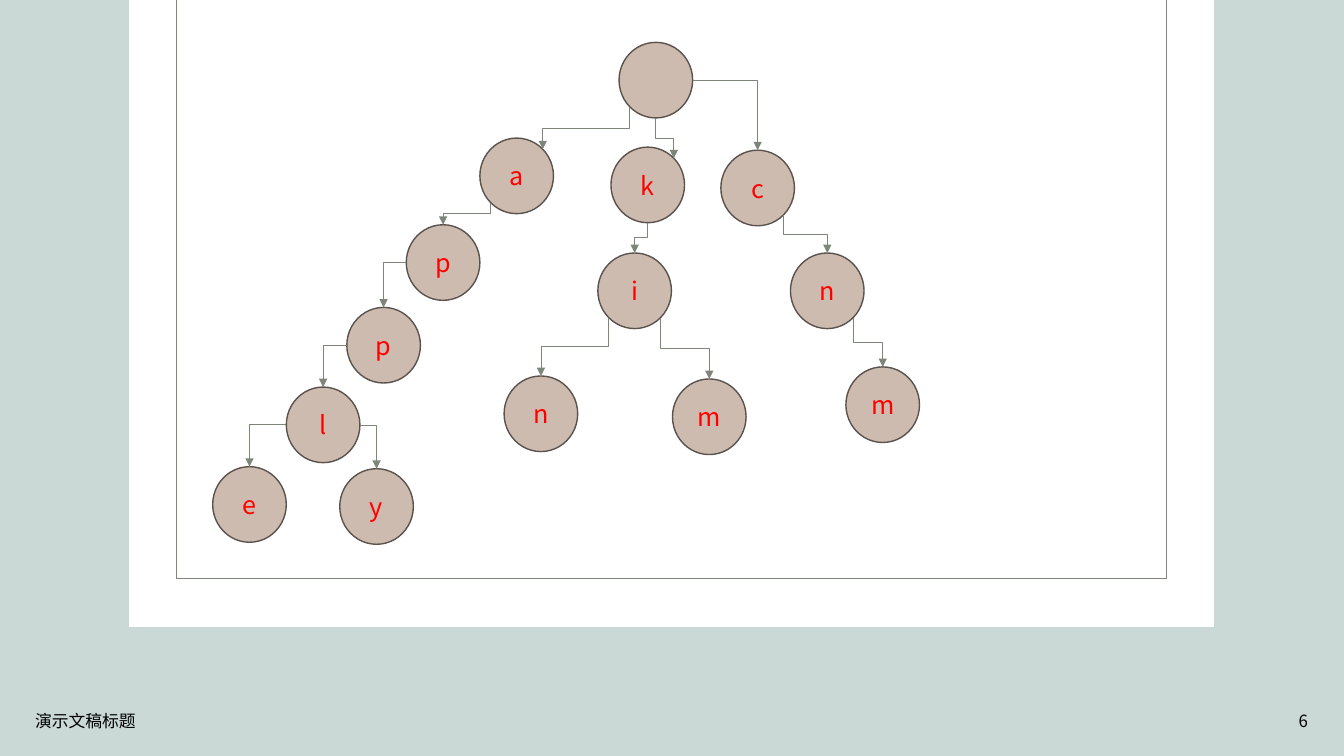
"""Builds a slide that shows a prefix tree of the words inside a framed page."""
from dataclasses import dataclass
from typing import Optional

from lxml.etree import SubElement
from pptx import Presentation
from pptx.dml.color import RGBColor
from pptx.enum.shapes import MSO_CONNECTOR as Connector, MSO_SHAPE as Preset
from pptx.enum.text import MSO_ANCHOR as Anchor, PP_ALIGN as Align
from pptx.oxml.ns import qn
from pptx.shapes.autoshape import Shape
from pptx.slide import Slide
from pptx.util import Inches, Pt


@dataclass(frozen=True)
class Theme:
    font: str = "Noto Sans CJK SC"
    background: str = "CAD8D6"
    paper: str = "FFFFFF"
    rule: str = "7E8679"
    node_fill: str = "CEBBAF"
    node_line: str = "5A524D"
    letter: str = "FF0000"
    footer: str = "000000"
    letter_size: float = 18
    footer_size: float = 12
    outline: float = 1
    link_width: float = 0.5


@dataclass(frozen=True)
class Node:
    key: str
    letter: str
    left: float
    top: float


@dataclass(frozen=True)
class Link:
    parent: str
    child: str
    leaves: str
    enters: str = "top"


THEME = Theme()
NODE_WIDTH, NODE_HEIGHT = 0.73, 0.75
DIAGONAL = 0.3536
SITES = {
    "top": (0, -0.5),
    "bottom": (0, 0.5),
    "left": (-0.5, 0),
    "right": (0.5, 0),
    "bottom left": (-DIAGONAL, DIAGONAL),
    "bottom right": (DIAGONAL, DIAGONAL),
    "top right": (DIAGONAL, -DIAGONAL),
}

NODES = [
    Node("root", "", 6.14, 0.42),
    Node("a", "a", 4.76, 1.37),
    Node("ap", "p", 4.03, 2.23),
    Node("app", "p", 3.44, 3.05),
    Node("appl", "l", 2.84, 3.84),
    Node("apple", "e", 2.11, 4.63),
    Node("apply", "y", 3.37, 4.65),
    Node("k", "k", 6.06, 1.46),
    Node("ki", "i", 5.93, 2.51),
    Node("kin", "n", 5, 3.73),
    Node("kim", "m", 6.67, 3.76),
    Node("c", "c", 7.15, 1.49),
    Node("cn", "n", 7.84, 2.51),
    Node("cnm", "m", 8.39, 3.64),
]

LINKS = [
    Link("root", "a", "bottom left", "top right"),
    Link("root", "k", "bottom", "top right"),
    Link("root", "c", "right"),
    Link("a", "ap", "bottom left"),
    Link("ap", "app", "left"),
    Link("app", "appl", "left"),
    Link("appl", "apple", "left"),
    Link("appl", "apply", "right"),
    Link("k", "ki", "bottom"),
    Link("ki", "kin", "bottom left"),
    Link("ki", "kim", "bottom right"),
    Link("c", "cn", "bottom right"),
    Link("cn", "cnm", "bottom right"),
]


def rgb(code: str) -> RGBColor:
    return RGBColor.from_string(code)


def write_text(shape: Shape, text: str, *, size: float, color: str, align: Align) -> None:
    frame = shape.text_frame
    frame.word_wrap = True
    frame.vertical_anchor = Anchor.MIDDLE
    para = frame.paragraphs[0]
    para.alignment = align
    span = para.add_run()
    span.text = text
    span.font.name = THEME.font
    span.font.size = Pt(size)
    span.font.color.rgb = rgb(color)
    SubElement(span.font._element, qn("a:ea"), typeface=THEME.font)


def add_box(slide: Slide, preset: Preset, left: float, top: float, width: float, height: float,
            fill: Optional[str] = None, line: Optional[str] = None) -> Shape:
    box = slide.shapes.add_shape(preset, Inches(left), Inches(top), Inches(width), Inches(height))
    box.shadow.inherit = False
    if fill:
        box.fill.solid()
        box.fill.fore_color.rgb = rgb(fill)
    else:
        box.fill.background()
    if line:
        box.line.color.rgb = rgb(line)
        box.line.width = Pt(THEME.outline)
    else:
        box.line.fill.background()
    return box


def add_node(slide: Slide, node: Node) -> None:
    circle = add_box(slide, Preset.OVAL, node.left, node.top, NODE_WIDTH, NODE_HEIGHT,
                     THEME.node_fill, THEME.node_line)
    if node.letter:
        write_text(circle, node.letter, size=THEME.letter_size, color=THEME.letter,
                   align=Align.CENTER)


def site_point(node: Node, site: str) -> tuple[float, float]:
    across, down = SITES[site]
    return node.left + NODE_WIDTH * (0.5 + across), node.top + NODE_HEIGHT * (0.5 + down)


def add_link(slide: Slide, link: Link, nodes: dict[str, Node]) -> None:
    x1, y1 = site_point(nodes[link.parent], link.leaves)
    x2, y2 = site_point(nodes[link.child], link.enters)
    sideways = link.leaves in ("left", "right")
    rotation = 0
    if not sideways:
        rotation = 270 if x2 > x1 else 90
        turn = -1 if x2 > x1 else 1
        middle_x, middle_y = (x1 + x2) / 2, (y1 + y2) / 2
        half_width, half_height = turn * (y2 - y1) / 2, abs(x2 - x1) / 2
        x1, x2 = middle_x - half_width, middle_x + half_width
        y1, y2 = middle_y - half_height, middle_y + half_height
    arrow = slide.shapes.add_connector(Connector.ELBOW, Inches(x1), Inches(y1),
                                       Inches(x2), Inches(y2))
    arrow.rotation = rotation
    arrow.line.color.rgb = rgb(THEME.rule)
    arrow.line.width = Pt(THEME.link_width)
    properties = arrow._element.spPr
    if sideways:
        properties.find(qn("a:prstGeom")).set("prst", "bentConnector2")
    SubElement(properties.find(qn("a:ln")), qn("a:tailEnd"), type="triangle")
    SubElement(properties, qn("a:effectLst"))


def add_footer(slide: Slide, text: str, left: float, width: float, align: Align) -> None:
    box = slide.shapes.add_textbox(Inches(left), Inches(6.95), Inches(width), Inches(0.4))
    write_text(box, text, size=THEME.footer_size, color=THEME.footer, align=align)


def main() -> None:
    deck = Presentation()
    deck.slide_width, deck.slide_height = Inches(13.33), Inches(7.5)
    page = deck.slides.add_slide(deck.slide_layouts[6])
    page.background.fill.solid()
    page.background.fill.fore_color.rgb = rgb(THEME.background)
    add_box(page, Preset.RECTANGLE, 1.28, 0, 10.76, 6.22, fill=THEME.paper)
    add_box(page, Preset.RECTANGLE, 1.75, -0.01, 9.82, 5.75, line=THEME.rule)
    add_footer(page, "演示文稿标题", 0.25, 4.5, Align.LEFT)
    add_footer(page, "6", 10.07, 3, Align.RIGHT)
    for node in NODES:
        add_node(page, node)
    nodes = {node.key: node for node in NODES}
    for link in LINKS:
        add_link(page, link, nodes)
    deck.save("out.pptx")


if __name__ == "__main__":
    main()
